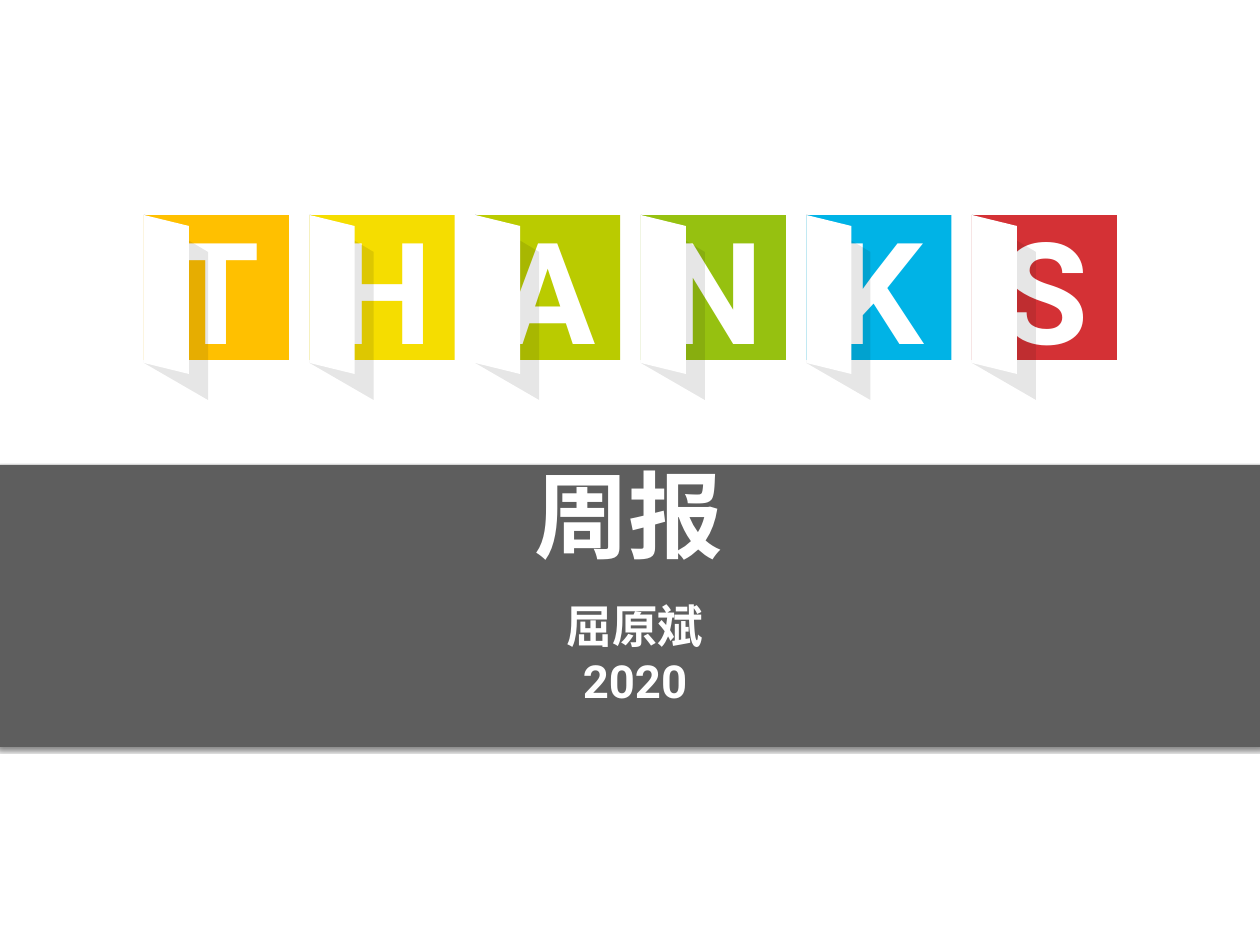
"""Builds a closing slide with six open-door letter cards above a title band."""
from typing import NamedTuple

from lxml import etree
from pptx import Presentation
from pptx import util as u
from pptx.dml.color import RGBColor
from pptx.enum import shapes, text
from pptx.oxml import ns

SCALE = 914400 / 88.6
FONT = "Roboto"
WHITE = RGBColor(0xFF, 0xFF, 0xFF)
BAND_GRAY = RGBColor(0x5E, 0x5E, 0x5E)
DOOR_SHADE = RGBColor(0x0D, 0x0D, 0x0D)
AMBER = RGBColor(0xFF, 0xC0, 0x00)
YELLOW = RGBColor(0xF5, 0xDD, 0x00)
LIME = RGBColor(0xBA, 0xCB, 0x00)
GREEN = RGBColor(0x96, 0xC1, 0x10)
BLUE = RGBColor(0x00, 0xB3, 0xE6)
RED = RGBColor(0xD4, 0x31, 0x35)

FIRST_LEFT, LAST_LEFT = 144, 972
CARD_TOP, CARD_SIZE = 215, 145
SHADE_OUTLINE = [(0, 214), (64, 252), (64, 400), (0, 363)]
DOOR_OUTLINE = [(0, 215), (45, 226), (45, 374), (0, 363)]


class Box(NamedTuple):
    left: float
    top: float
    width: float
    height: float


class Card(NamedTuple):
    letter: str
    color: RGBColor


CARDS = [
    Card("T", AMBER),
    Card("H", YELLOW),
    Card("A", LIME),
    Card("N", GREEN),
    Card("K", BLUE),
    Card("S", RED),
]


def px(value: float) -> u.Emu:
    """Turn pixels into EMU."""
    return u.Emu(round(value * SCALE))


def paint(shape, color: RGBColor) -> None:
    """Give a shape a plain fill with no line or shadow."""
    shape.fill.solid()
    shape.fill.fore_color.rgb = color
    shape.line.fill.background()
    shape.shadow.inherit = False


def add_rectangle(group, box: Box, color: RGBColor):
    """Add a plain filled rectangle."""
    shape = group.shapes.add_shape(shapes.MSO_SHAPE.RECTANGLE, *map(px, box))
    paint(shape, color)
    return shape


def add_outline(group, left: float, outline: list[tuple[int, int]], color: RGBColor):
    """Add a filled polygon shifted right to a card's edge."""
    points = [(px(left + x), px(y)) for x, y in outline]
    builder = group.shapes.build_freeform(*points[0])
    builder.add_line_segments(points[1:], close=True)
    shape = builder.convert_to_shape()
    paint(shape, color)
    return shape


def set_alpha(color_element, percent: int) -> None:
    """Set the opacity of a colour element."""
    etree.SubElement(color_element, ns.qn("a:alpha"), val=str(percent * 1000))


def add_drop_shadow(shape) -> None:
    """Add a soft shadow straight below a shape."""
    effects = shape._element.spPr.find(ns.qn("a:effectLst"))
    shadow = etree.SubElement(
        effects, ns.qn("a:outerShdw"), blurRad=str(u.Pt(3)), dist=str(u.Pt(2)),
        dir="5400000", rotWithShape="0")
    set_alpha(etree.SubElement(shadow, ns.qn("a:srgbClr"), val="000000"), 48)


def add_text(group, box: Box, content: str, *, size: int, line_spacing=None,
             anchor=text.MSO_ANCHOR.TOP, auto_size=text.MSO_AUTO_SIZE.NONE) -> None:
    """Add centred bold white text, one paragraph per line."""
    frame = group.shapes.add_textbox(*map(px, box)).text_frame
    frame.word_wrap = True
    frame.auto_size = auto_size
    frame.vertical_anchor = anchor
    frame.margin_left = frame.margin_right = u.Inches(0.05)
    frame.margin_top = frame.margin_bottom = u.Inches(0.05)
    frame.text = content
    for paragraph in frame.paragraphs:
        paragraph.alignment = text.PP_ALIGN.CENTER
        paragraph.line_spacing = line_spacing
        font = paragraph.runs[0].font
        font.name, font.size, font.bold = FONT, u.Pt(size), True
        font.color.rgb = WHITE
        properties = paragraph.runs[0]._r.get_or_add_rPr()
        etree.SubElement(properties, ns.qn("a:ea"), typeface=FONT)


def add_card(group, card: Card, left: float) -> None:
    """Add a coloured square, its letter and the open door over it."""
    add_rectangle(group, Box(left, CARD_TOP, CARD_SIZE, CARD_SIZE), card.color)
    add_text(group, Box(left, 198, CARD_SIZE, 179), card.letter, size=115,
             anchor=text.MSO_ANCHOR.MIDDLE,
             auto_size=text.MSO_AUTO_SIZE.SHAPE_TO_FIT_TEXT)
    shade = add_outline(group, left, SHADE_OUTLINE, DOOR_SHADE)
    set_alpha(shade._element.spPr.find(".//" + ns.qn("a:srgbClr")), 10)
    add_outline(group, left, DOOR_OUTLINE, WHITE)


def main() -> None:
    """Build and save the slide."""
    presentation = Presentation()
    presentation.slide_width, presentation.slide_height = px(1260), px(945)
    slide = presentation.slides.add_slide(presentation.slide_layouts[6])

    band = slide.shapes.add_group_shape()
    add_drop_shadow(add_rectangle(band, Box(-3, 465, 1265, 282), BAND_GRAY))
    add_text(band, Box(361, 474, 536, 95), "周报", size=77, line_spacing=u.Pt(75))
    add_text(band, Box(484, 594, 302, 145), "屈原斌\n2020", size=37)

    cards = slide.shapes.add_group_shape()
    pitch = (LAST_LEFT - FIRST_LEFT) / (len(CARDS) - 1)
    for index, card in enumerate(CARDS):
        add_card(cards, card, FIRST_LEFT + index * pitch)

    presentation.save("out.pptx")


main()
